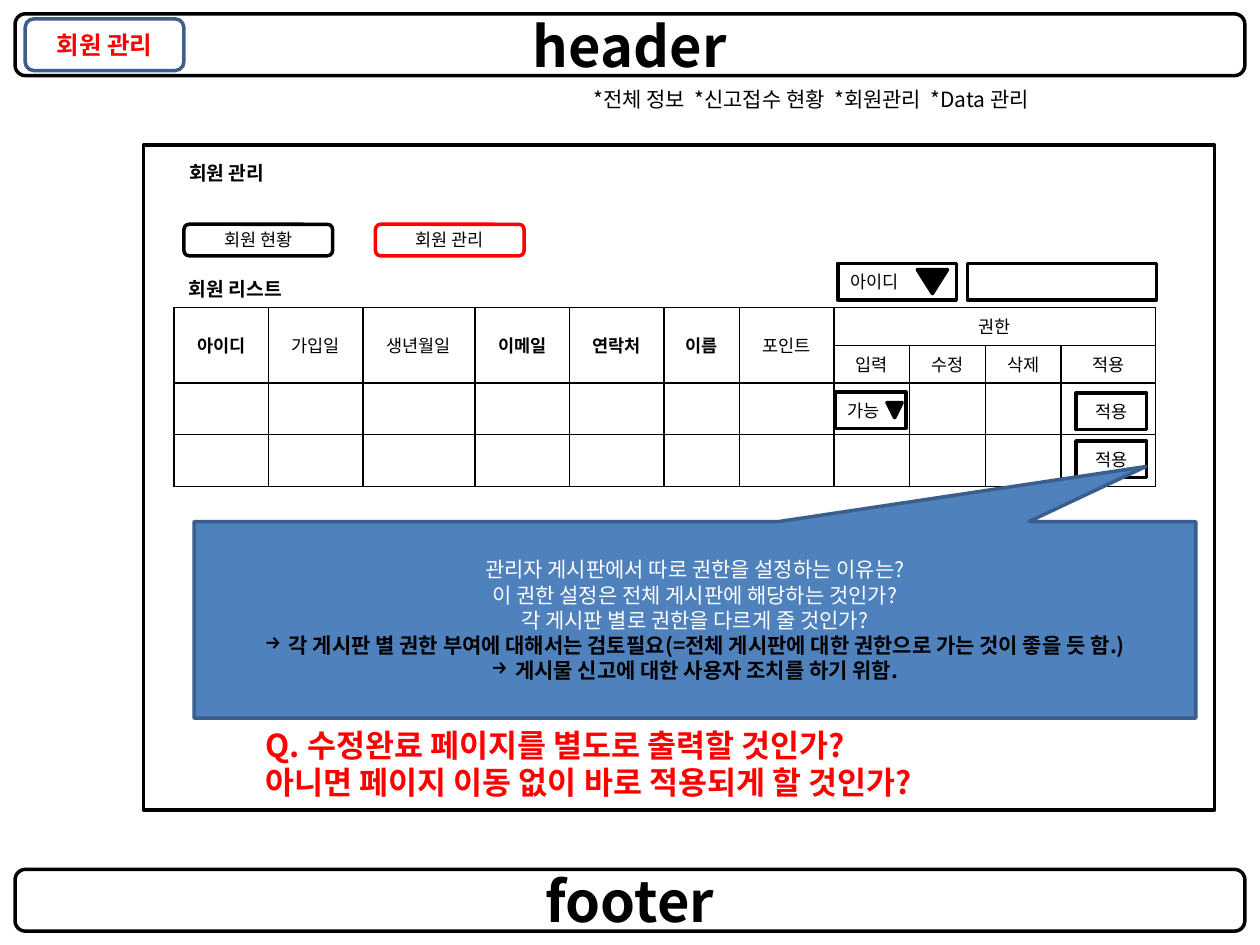
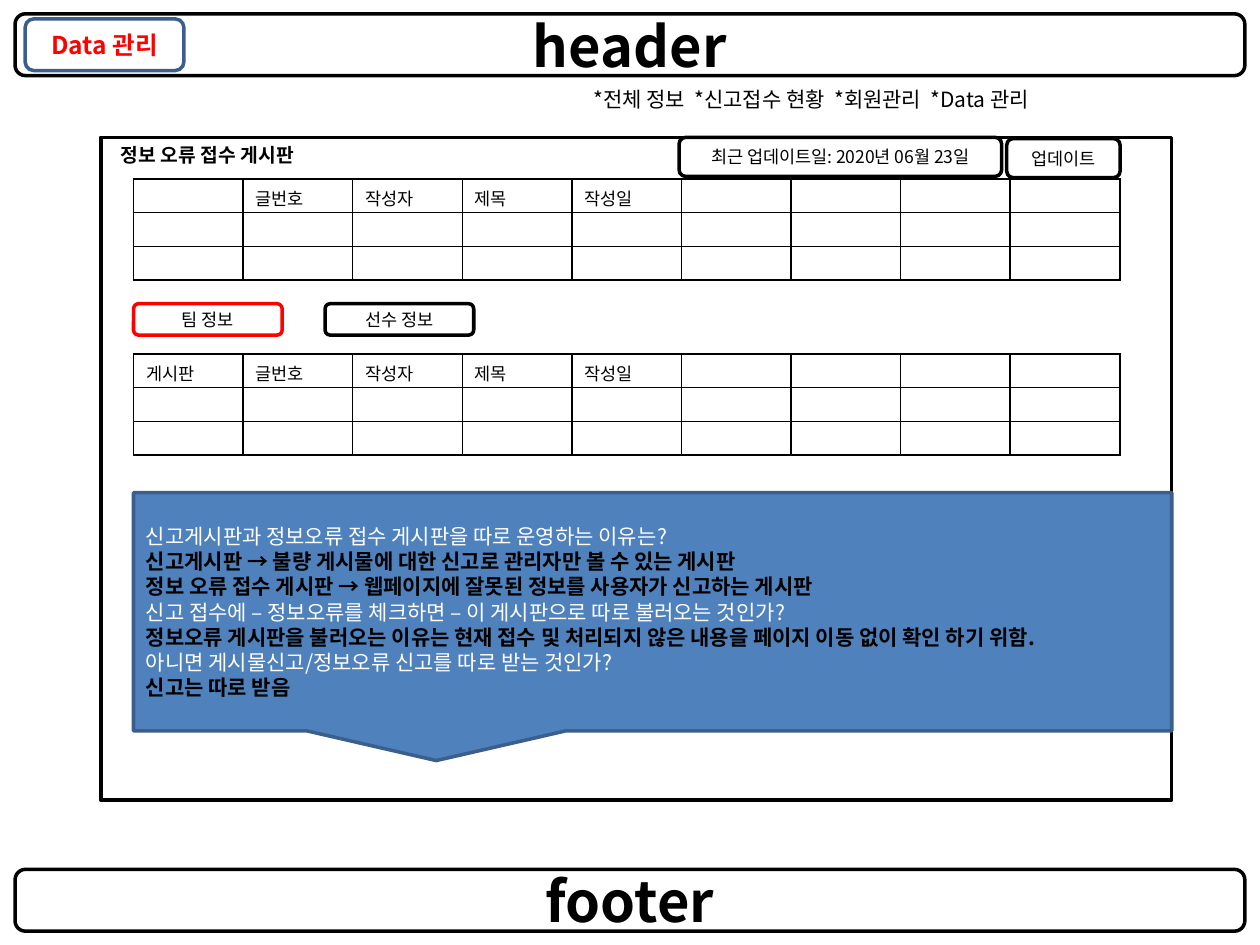
from collections import namedtuple

import pptx
import pptx.dml.color
import pptx.enum.shapes
import pptx.enum.text
import pptx.oxml.ns
import pptx.util
from lxml import etree

SHAPE = pptx.enum.shapes.MSO_SHAPE
ALIGN = pptx.enum.text.PP_ALIGN
ANCHOR = pptx.enum.text.MSO_ANCHOR
qn = pptx.oxml.ns.qn

FONT = "Noto Sans CJK KR"
BLACK, WHITE, RED = "000000", "FFFFFF", "FF0000"
BLUE, NAVY = "4F81BD", "3A5F8C"
COLUMNS, ROWS = 100, 75  # grid of 0.1 inch cells
MENU = "*전체 정보  *신고접수 현황  *회원관리  *Data 관리"


class Box(namedtuple("Box", "x y w h")):
    """A rectangle in grid columns and rows."""

    def sub(self, x, y, w, h):
        """Return a box placed relative to this one's corner."""
        return Box(self.x + x, self.y + y, w, h)

    def emu(self):
        """Return left, top, width and height as lengths."""
        return [cells(v) for v in self]


PAGE = Box(0, 0, COLUMNS, ROWS)


def cells(n):
    """Turn a number of grid cells into a length."""
    return pptx.util.Inches(n / 10)


def rgb(code):
    """Turn a hex string into a colour."""
    return pptx.dml.color.RGBColor.from_string(code)


def style(p, size, color=BLACK, bold=False, align=ALIGN.LEFT):
    """Format a whole paragraph."""
    p.alignment = align
    f = p.font
    f.name, f.size, f.bold = FONT, pptx.util.Pt(size), bold
    f.color.rgb = rgb(color)
    latin = p._p.pPr.find(qn("a:defRPr")).find(qn("a:latin"))
    ea = etree.Element(qn("a:ea"), typeface=FONT)
    latin.addnext(ea)


def write(tf, lines, size, color=BLACK, bold=False, align=ALIGN.LEFT):
    """Fill a text frame with one paragraph per line; return them."""
    tf.word_wrap = True
    for i, line in enumerate(lines):
        p = tf.add_paragraph() if i else tf.paragraphs[0]
        p.text = line
        style(p, size, color, bold, align)
    return tf.paragraphs


def shape(slide, kind, box, line=BLACK, fill=None):
    """Draw a flat outlined shape."""
    sp = slide.shapes.add_shape(kind, *box.emu())
    sp.shadow.inherit = False
    if fill:
        sp.fill.solid()
        sp.fill.fore_color.rgb = rgb(fill)
    else:
        sp.fill.background()
    sp.line.color.rgb = rgb(line)
    sp.line.width = pptx.util.Pt(2)
    return sp


def button(slide, box, text, size=10, color=BLACK, bold=False,
           align=ALIGN.CENTER, kind=SHAPE.ROUNDED_RECTANGLE, **look):
    """Draw a shape with one vertically centred line of text."""
    sp = shape(slide, kind, box, **look)
    sp.text_frame.vertical_anchor = ANCHOR.MIDDLE
    write(sp.text_frame, [text], size, color, bold, align)


def label(slide, box, lines, size, color=BLACK, bold=False):
    """Add a plain text box."""
    tb = slide.shapes.add_textbox(*box.emu())
    write(tb.text_frame, lines, size, color, bold)


def heading(slide, box, text):
    """Move the title placeholder into a panel as its heading."""
    title = slide.shapes.title
    title.left, title.top, title.width, title.height = box.emu()
    tf = title.text_frame
    tf.auto_size = pptx.enum.text.MSO_AUTO_SIZE.NONE
    tf.vertical_anchor = ANCHOR.TOP
    write(tf, [text], 11, bold=True)


def frame(slide, page, tag):
    """Draw the header and footer bands, the page tag and the menu."""
    for y, text in ((1.1, "header"), (69, "footer")):
        button(slide, page.sub(1.2, y, 97.6, 4.9), text, 32, bold=True, fill=WHITE)
    label(slide, page.sub(46.1, 6.4, 42.9, 3), [MENU], 12)
    button(slide, page.sub(2, 1.5, 12.6, 4.1), tag, 14, RED, True,
           line=NAVY, fill=WHITE)


def tabs(slide, box, names, active):
    """Draw a row of equal tabs with the active one in red."""
    for i, name in enumerate(names):
        button(slide, box.sub(15.2 * i, 0, 11.8, 2.5), name,
               line=RED if i == active else BLACK)


def dropdown(slide, box, text, arrow_w, arrow_h, gap):
    """Draw a select box with a down arrow near its right edge."""
    button(slide, box, text, align=ALIGN.LEFT, kind=SHAPE.RECTANGLE)
    arrow = box.sub(box.w - arrow_w - gap, (box.h - arrow_h) / 2, arrow_w, arrow_h)
    shape(slide, SHAPE.ISOSCELES_TRIANGLE, arrow, fill=BLACK).rotation = 180


def outline(cell):
    """Give a cell thin black borders on a white fill."""
    cell.fill.solid()
    cell.fill.fore_color.rgb = rgb(WHITE)
    for i, side in enumerate(("lnL", "lnR", "lnT", "lnB")):
        ln = etree.Element(qn("a:" + side), w=str(pptx.util.Pt(1)))
        paint = etree.SubElement(ln, qn("a:solidFill"))
        etree.SubElement(paint, qn("a:srgbClr"), val=BLACK)
        cell._tc.get_or_add_tcPr().insert(i, ln)


def grid_table(slide, box, widths, heights, texts, bold=(),
               align=ALIGN.LEFT, anchor=ANCHOR.TOP):
    """Add a bordered table; texts maps (row, column) to wording."""
    gf = slide.shapes.add_table(len(heights), len(widths), *box.emu())
    table = gf.table
    table.first_row = table.horz_banding = False
    for col, w in zip(table.columns, widths):
        col.width = cells(w)
    for r, h in enumerate(heights):
        table.rows[r].height = cells(h)
        for c in range(len(widths)):
            cell = table.cell(r, c)
            outline(cell)
            cell.vertical_anchor = anchor
            text = texts.get((r, c), "")
            p = write(cell.text_frame, [text], 10, bold=text in bold, align=align)[0]
            if not text:
                p._p.get_or_add_endParaRPr().set("sz", "1000")
    return table


def member_table(slide, box):
    """Add the member list with its permission controls."""
    fields = ["아이디", "가입일", "생년월일", "이메일", "연락처", "이름", "포인트"]
    rights = ["입력", "수정", "삭제", "적용"]
    n = len(fields)
    texts = {(0, c): t for c, t in enumerate(fields + ["권한"])}
    texts.update({(1, n + c): t for c, t in enumerate(rights)})
    widths = [7.5, 7.5, 8.9, 7.5, 7.5, 6, 7.5, 6, 6, 6, 7.5]
    table = grid_table(slide, box, widths, [3, 3, 4.1, 4.1], texts,
                       ("아이디", "이메일", "연락처", "이름"),
                       ALIGN.CENTER, ANCHOR.MIDDLE)
    for c in range(n):
        table.cell(0, c).merge(table.cell(1, c))
    table.cell(0, n).merge(table.cell(0, len(widths) - 1))
    for y in (6.8, 10.6):
        button(slide, box.sub(71.6, y, 5.6, 2.9), "적용", kind=SHAPE.RECTANGLE)
    dropdown(slide, box.sub(52.5, 6.7, 5.6, 2.9), "가능", 1.2, 1.2, 0.3)


def board_table(slide, box, headings):
    """Add a board of nine equal columns with a heading row."""
    texts = {(0, c): t for c, t in enumerate(headings)}
    grid_table(slide, box, [box.w / 9] * 9, [box.h / 3] * 3, texts)


def callout(slide, box, lines, align, tip=None, arrows=False):
    """Draw a note of (text, is answer) lines; answers are bold black."""
    sp = shape(slide, SHAPE.RECTANGULAR_CALLOUT, box, NAVY, BLUE)
    if tip:
        sp.adjustments[0], sp.adjustments[1] = tip
    tf = sp.text_frame
    tf.vertical_anchor = ANCHOR.MIDDLE
    for i, (text, answer) in enumerate(lines):
        p = tf.add_paragraph() if i else tf.paragraphs[0]
        p.text = text
        style(p, 12, BLACK if answer else WHITE, answer, align)
        if answer and arrows:
            pPr = p._p.get_or_add_pPr()
            indent = cells(1.9)
            pPr.set("marL", str(indent))
            pPr.set("indent", str(-indent))
            pPr.insert(0, etree.Element(qn("a:buChar"), char="→"))


def member_page(slide, panel):
    """Build the member management panel."""
    shape(slide, SHAPE.RECTANGLE, panel)
    heading(slide, panel.sub(2.6, 0.8, 27.6, 2.9), "회원 관리")
    tabs(slide, panel.sub(3.2, 6.3, 27, 2.5), ["회원 현황", "회원 관리"], 1)
    label(slide, panel.sub(2.6, 10, 27.6, 2.9), ["회원 리스트"], 11, bold=True)
    dropdown(slide, panel.sub(55.1, 9.4, 9.4, 2.9), "아이디", 2.4, 1.9, 0.7)
    shape(slide, SHAPE.RECTANGLE, panel.sub(65.4, 9.4, 15, 2.9))
    member_table(slide, panel.sub(2.4, 12.9, 78, 14.2))
    callout(slide, panel.sub(4, 29.9, 79.5, 15.6), [
        ("관리자 게시판에서 따로 권한을 설정하는 이유는?", False),
        ("이 권한 설정은 전체 게시판에 해당하는 것인가?", False),
        ("각 게시판 별로 권한을 다르게 줄 것인가?", False),
        ("각 게시판 별 권한 부여에 대해서는 검토필요"
         "(=전체 게시판에 대한 권한으로 가는 것이 좋을 듯 함.)", True),
        ("게시물 신고에 대한 사용자 조치를 하기 위함.", True),
    ], ALIGN.CENTER, (0.45, -0.78), arrows=True)
    label(slide, panel.sub(8.7, 45.6, 59.1, 7.1),
          ["Q. 수정완료 페이지를 별도로 출력할 것인가?",
           "아니면 페이지 이동 없이 바로 적용되게 할 것인가?"], 18, RED, True)


def data_page(slide, panel):
    """Build the data management panel."""
    columns = ["글번호", "작성자", "제목", "작성일"]
    heading(slide, panel.sub(0.6, 0, 27.6, 2.9), "정보 오류 접수 게시판")
    shape(slide, SHAPE.RECTANGLE, panel)
    board_table(slide, panel.sub(2.6, 3.3, 78.3, 8), [""] + columns)
    tabs(slide, panel.sub(2.6, 13.2, 27, 2.5), ["팀 정보", "선수 정보"], 0)
    board_table(slide, panel.sub(2.6, 17.2, 78.3, 8), ["게시판"] + columns)
    button(slide, panel.sub(71.9, 0.1, 9, 3.1), "업데이트")
    button(slide, panel.sub(45.9, 0, 25.6, 3.1), "최근 업데이트일: 2020년 06월 23일")
    callout(slide, panel.sub(2.6, 28.2, 82.4, 18.9), [
        ("신고게시판과 정보오류 접수 게시판을 따로 운영하는 이유는?", False),
        ("신고게시판 → 불량 게시물에 대한 신고로 관리자만 볼 수 있는 게시판", True),
        ("정보 오류 접수 게시판 → 웹페이지에 잘못된 정보를 사용자가 신고하는 게시판", True),
        ("신고 접수에 – 정보오류를 체크하면 – 이 게시판으로 따로 불러오는 것인가?", False),
        ("정보오류 게시판을 불러오는 이유는 현재 접수 및 처리되지 않은 내용을 "
         "페이지 이동 없이 확인 하기 위함.", True),
        ("아니면 게시물신고/정보오류 신고를 따로 받는 것인가?", False),
        ("신고는 따로 받음", True),
    ], ALIGN.LEFT)


prs = pptx.Presentation()
prs.slide_width, prs.slide_height = cells(COLUMNS), cells(ROWS)
for tag, build, panel in (
        ("회원 관리", member_page, PAGE.sub(11.4, 11.5, 85, 52.8)),
        ("Data 관리", data_page, PAGE.sub(8, 10.9, 85, 52.6))):
    slide = prs.slides.add_slide(prs.slide_layouts[5])
    frame(slide, PAGE, tag)
    build(slide, panel)
prs.save("out.pptx")
